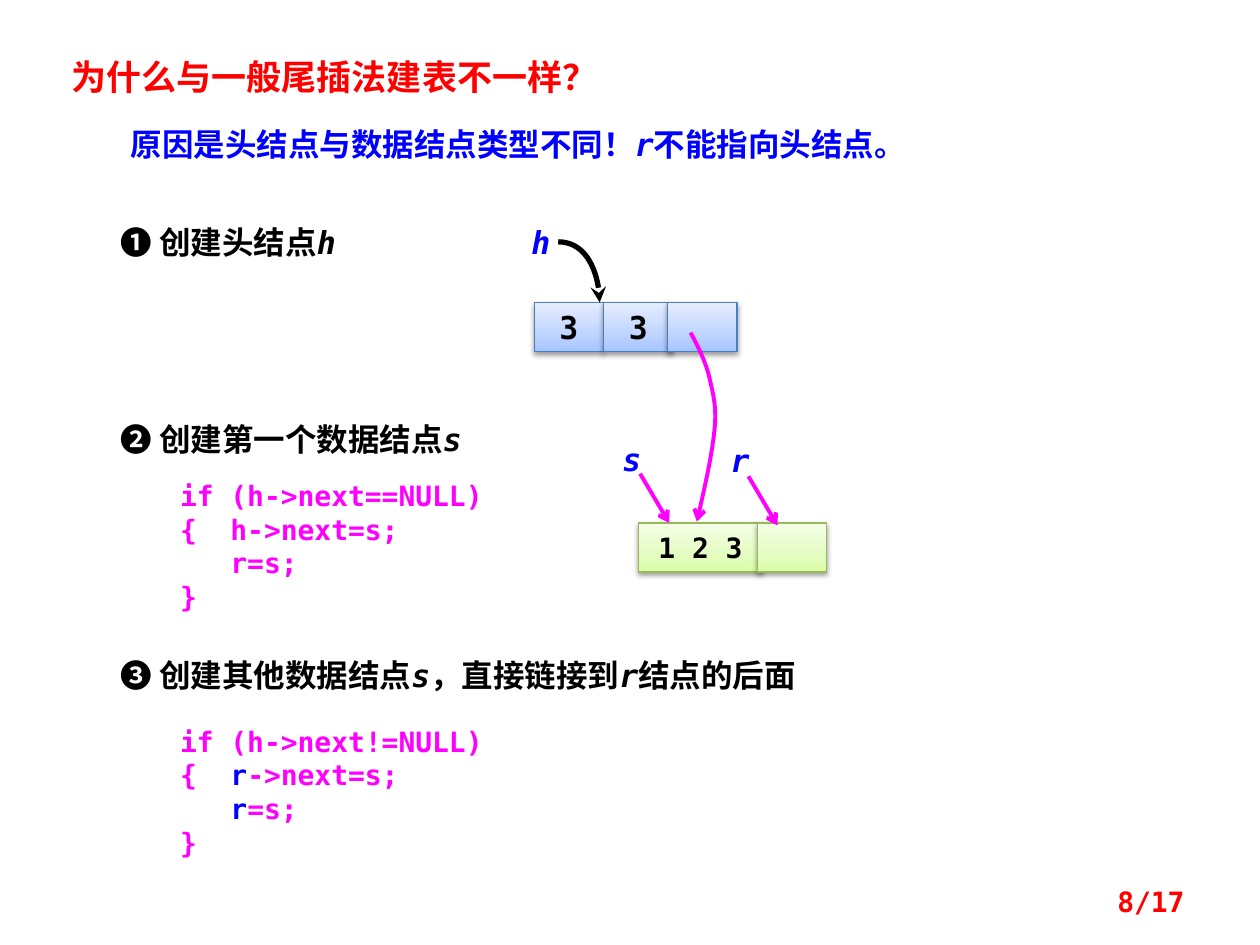
from copy import deepcopy

from lxml import etree
from pptx import Presentation
from pptx.dml.color import RGBColor
from pptx.enum import shapes, text
from pptx.oxml.ns import qn
from pptx.util import Pt

MONO, CJK = "DejaVu Sans Mono", "Noto Sans CJK JP"
BLACK, RED, BLUE, PINK = "000000", "FF0000", "0000FF", "FF00FF"

# left, top, width, height, size, colour, latin font, lines;
# a line is a list of (words, overrides)
ITALIC, MARKED = {"italic": True}, {"color": BLUE}
TEXTS = [
    (33.8, 28.1, 546, 31.7, 20, RED, CJK, [[("为什么与一般尾插法建表不一样？", {})]]),
    (67.7, 67.7, 472, 28.8, 18, BLUE, MONO,
     [[("原因是头结点与数据结点类型不同！", {}), ("r", ITALIC), ("不能指向头结点。", {})]]),
    (61.9, 123.8, 220, 28.8, 18, BLACK, MONO, [[("❶ 创建头结点", {}), ("h", ITALIC)]]),
    (61.9, 236.2, 230, 28.8, 18, BLACK, MONO, [[("❷ 创建第一个数据结点", {}), ("s", ITALIC)]]),
    (61.9, 371.5, 422, 28.8, 18, BLACK, MONO,
     [[("❸ 创建其他数据结点", {}), ("s", ITALIC), ("，直接链接到", {}),
       ("r", ITALIC), ("结点的后面", {})]]),
    (95.8, 270, 191.5, 85, 16, PINK, MONO,
     [[("if (h->next==NULL)", {})], [("{  h->next=s;", {})],
      [("   r=s;", {})], [("}", {})]]),
    (95.8, 410.4, 191.5, 85, 16, PINK, MONO,
     [[("if (h->next!=NULL)", {})],
      [("{  ", {}), ("r", MARKED), ("->next=s;", {})],
      [("   ", {}), ("r", MARKED), ("=s;", {})], [("}", {})]]),
]
LABELS = [("h", 296.6, 123.8), ("s", 348.5, 247.7), ("r", 410.4, 248.4)]
PAGE_NUMBER = (516.2, 500.4, 167.8, 28.8, 16, RED, MONO, [[("8/17", {})]])

BLUE_CELL = (["A4C4FF", "BFD4FF", "E6EEFF"], "4B7EBC")
GREEN_CELL = (["DAFDA7", "E4FCC2", "F5FFE7"], "98B955")
STOPS = (0, 0.35, 1)
CELL_W, CELL_H = 39.6, 28.1
# left, top, width, style, words, size
CELLS = [
    (305.3, 172.8, CELL_W, BLUE_CELL, "3", 18),
    (344.9, 172.8, CELL_W, BLUE_CELL, "3", 18),
    (381.6, 172.8, CELL_W, BLUE_CELL, "", 18),
    (365, 298.8, 70.6, GREEN_CELL, "1 2 3", 16),
    (432.7, 298.8, CELL_W, GREEN_CELL, "", 16),
]
POINTERS = [(365.8, 270.7), (427.7, 272.2)]
POINTER_DX, POINTER_DY = 16.6, 28.1
# start point followed by cubic control points, three for each piece
HEAD_CURVE = [(319, 138.2), (332, 138.2), (342.7, 153.4), (342.7, 172.8)]
NEXT_CURVE = [(394.6, 190.1), (398.9, 198), (403.2, 206.6), (405.4, 216),
              (407.5, 225.4), (409.7, 232.6), (408.2, 246.2),
              (406.8, 259.9), (402.5, 279.4), (398.2, 298.1)]


def rgb(value):
    """Turn a hex string into a colour."""
    return RGBColor.from_string(value)


def add_span(para, words, size, color=BLACK, latin=MONO, italic=False):
    """Add one bold run to a paragraph."""
    span = para.add_run()
    span.text = words
    formats = {"size": Pt(size), "bold": True, "italic": italic, "name": latin}
    for name, value in formats.items():
        setattr(span.font, name, value)
    span.font.color.rgb = rgb(color)
    latin_tag = span.font._element.find(qn("a:latin"))
    latin_tag.addnext(etree.Element(qn("a:ea"), typeface=CJK))


def add_text(left, top, width, height, size, color, latin, lines):
    """Add a wrapped text box and return it."""
    box = page.shapes.add_textbox(Pt(left), Pt(top), Pt(width), Pt(height))
    frame = box.text_frame
    frame.word_wrap = True
    for index, line in enumerate(lines):
        para = frame.add_paragraph() if index else frame.paragraphs[0]
        for words, overrides in line:
            add_span(para, words, size, **{"color": color, "latin": latin, **overrides})
    return box


def add_cell(left, top, width, style, words, size):
    """Add one node cell with gradient, outline and soft shadow."""
    colors, outline = style
    cell = page.shapes.add_shape(shapes.MSO_SHAPE.RECTANGLE,
                                 Pt(left), Pt(top), Pt(width), Pt(CELL_H))
    cell.fill.gradient()
    cell.fill.gradient_angle = 90
    first = cell._element.spPr.find(".//" + qn("a:gs"))
    first.addnext(deepcopy(first))
    for stop, position, color in zip(cell.fill.gradient_stops, STOPS, colors):
        stop.position = position
        stop.color.rgb = rgb(color)
    cell.line.color.rgb = rgb(outline)
    cell.line.width = Pt(0.75)

    cell.shadow.inherit = False
    effects = cell._element.spPr.find(qn("a:effectLst"))
    shadow = etree.SubElement(effects, qn("a:outerShdw"), blurRad=str(Pt(3.1)),
                              dist=str(Pt(1.6)), dir="5400000", rotWithShape="0")
    tint = etree.SubElement(shadow, qn("a:srgbClr"), val=BLACK)
    etree.SubElement(tint, qn("a:alpha"), val="38000")

    frame = cell.text_frame
    frame.word_wrap = False
    frame.vertical_anchor = text.MSO_ANCHOR.MIDDLE
    if words:
        para = frame.paragraphs[0]
        para.alignment = text.PP_ALIGN.CENTER
        add_span(para, words, size)


def style_arrow(arrow, color, width, head):
    """Set stroke and arrowhead, with no shadow."""
    arrow.line.color.rgb = rgb(color)
    arrow.line.width = Pt(width)
    stroke = arrow._element.spPr.find(qn("a:ln"))
    etree.SubElement(stroke, qn("a:tailEnd"), type=head)
    etree.SubElement(arrow._element.spPr, qn("a:effectLst"))


def add_curve(points, color, width, head):
    """Add an open curve through cubic control points."""
    (x, y), *controls = [(Pt(px), Pt(py)) for px, py in points]
    builder = page.shapes.build_freeform(x, y)
    builder.add_line_segments(controls, close=False)
    curve = builder.convert_to_shape()
    curve.fill.background()
    segments = curve._element.spPr.findall(".//" + qn("a:lnTo"))
    for start in range(0, len(segments), 3):
        piece = etree.Element(qn("a:cubicBezTo"))
        segments[start].addprevious(piece)
        for segment in segments[start:start + 3]:
            piece.append(segment[0])
            segment.getparent().remove(segment)
    style_arrow(curve, color, width, head)


deck = Presentation()
deck.slide_width, deck.slide_height = Pt(720), Pt(540)
page = deck.slides.add_slide(deck.slide_layouts[6])

for entry in TEXTS:
    add_text(*entry)
for entry in CELLS:
    add_cell(*entry)
for name, left, top in LABELS:
    add_text(left, top, 28.1, 28.8, 18, BLUE, MONO, [[(name, ITALIC)]])
for x, y in POINTERS:
    pointer = page.shapes.add_connector(shapes.MSO_CONNECTOR.STRAIGHT, Pt(x), Pt(y),
                                        Pt(x + POINTER_DX), Pt(y + POINTER_DY))
    style_arrow(pointer, PINK, 2.25, "arrow")
add_curve(HEAD_CURVE, BLACK, 3, "stealth")
add_curve(NEXT_CURVE, PINK, 2.25, "arrow")

number = add_text(*PAGE_NUMBER)
number.text_frame.vertical_anchor = text.MSO_ANCHOR.MIDDLE
number.text_frame.paragraphs[0].alignment = text.PP_ALIGN.RIGHT

deck.save("out.pptx")
